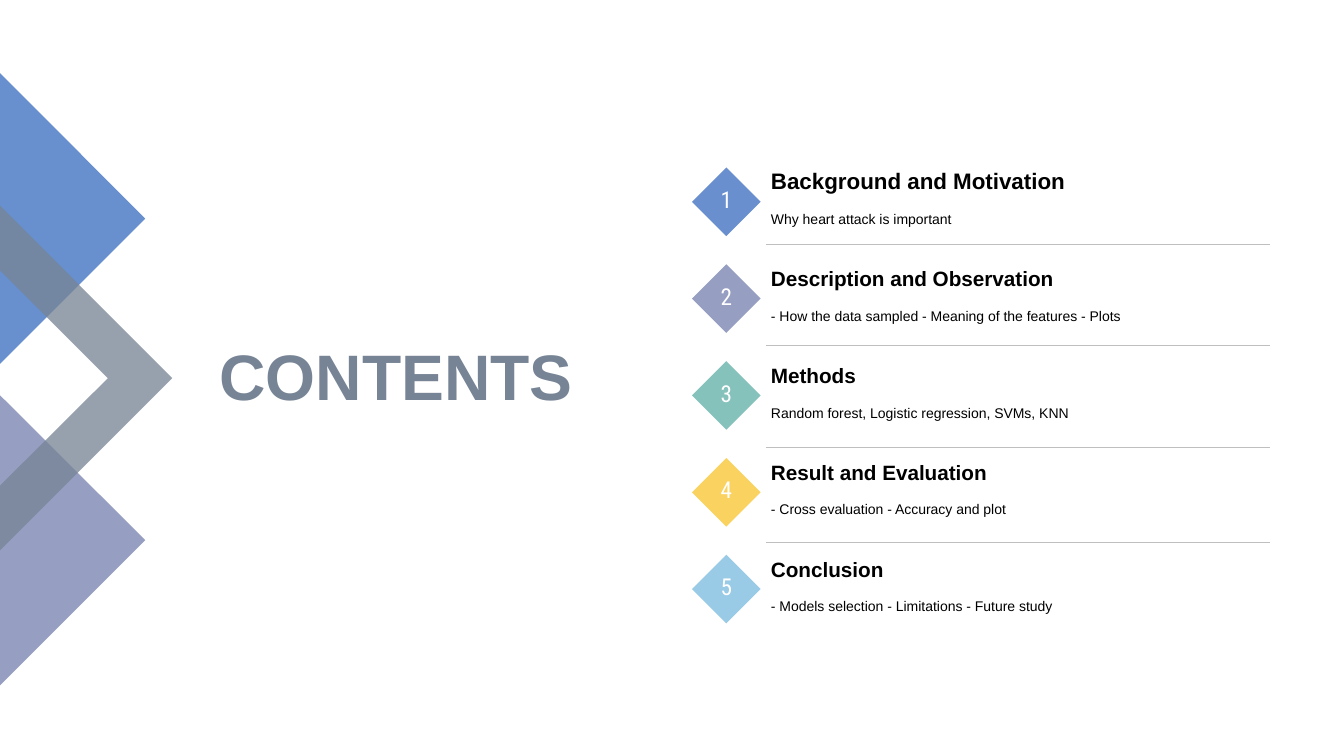
from lxml import etree
from pptx import Presentation
from pptx.dml.color import RGBColor
from pptx.enum.shapes import MSO_CONNECTOR, MSO_SHAPE
from pptx.enum.text import MSO_ANCHOR as ANCHOR, PP_ALIGN as ALIGN
from pptx.oxml.ns import qn
from pptx.util import Cm, Pt

HEADING = "CONTENTS"
ITEMS = [
    ("Background and Motivation", "Why heart attack is important", "698FCE"),
    ("Description and Observation",
     "- How the data sampled - Meaning of the features - Plots", "969EC2"),
    ("Methods", "Random forest, Logistic regression, SVMs, KNN", "85C2BC"),
    ("Result and Evaluation", "- Cross evaluation - Accuracy and plot", "FAD25F"),
    ("Conclusion", "- Models selection - Limitations - Future study", "99CAE6"),
]
DIVIDERS = [6.15, 8.71, 11.28, 13.67]
SLATE = "778495"
BANDS = [
    ("969EC2", 100, [(0, 9.96), (3.66, 13.61), (0, 17.27)]),
    ("688FCE", 100, [(0, 1.84), (3.66, 5.51), (0, 9.17)]),
    (SLATE, 76, [(4.34, 9.53), (0, 13.87), (0, 12.24),
                 (2.72, 9.53), (0, 6.81), (0, 5.18)]),
]
ROW_TOP, ROW_STEP = 4.22, 2.44
DIAMOND_X, DIAMOND_SIZE = 17.44, 1.73
TEXT_X, TEXT_W = 19.18, 12.7
LINE_X1, LINE_X2 = 19.3, 32


def rgb(color):
    return RGBColor.from_string(color)


def paint(sp, color, alpha=100):
    sp.shadow.inherit = False
    sp.fill.solid()
    sp.fill.fore_color.rgb = rgb(color)
    sp.line.fill.background()
    if alpha < 100:
        clr = sp.fill._xPr.find(".//" + qn("a:srgbClr"))
        etree.SubElement(clr, qn("a:alpha")).set("val", str(alpha * 1000))


def write(sp, text, size, color, font="Arial", bold=False,
          align=ALIGN.LEFT, anchor=ANCHOR.MIDDLE, spacing=1.0):
    tf = sp.text_frame
    tf.word_wrap = True
    tf.vertical_anchor = anchor
    tf.text = text
    p = tf.paragraphs[0]
    p.alignment = align
    p.line_spacing = spacing
    f = p.runs[0].font
    f.name, f.size, f.bold = font, Pt(size), bold
    f.color.rgb = rgb(color)


def add_text(x, y, w, h, *args, **style):
    sp = s.shapes.add_textbox(Cm(x), Cm(y), Cm(w), Cm(h))
    write(sp, *args, **style)


prs = Presentation()
prs.slide_width, prs.slide_height = Cm(33.87), Cm(19.05)
s = prs.slides.add_slide(prs.slide_layouts[6])

for color, alpha, points in BANDS:
    start, *rest = [(Cm(x), Cm(y)) for x, y in points]
    fb = s.shapes.build_freeform(*start)
    fb.add_line_segments(rest, close=True)
    paint(fb.convert_to_shape(), color, alpha)

add_text(4.29, 8.28, 10.39, 2.57, HEADING, 45.9, SLATE,
         bold=True, align=ALIGN.RIGHT, spacing=0.9)

for i, (title, detail, color) in enumerate(ITEMS):
    top = ROW_TOP + i * ROW_STEP
    diamond = s.shapes.add_shape(MSO_SHAPE.DIAMOND, Cm(DIAMOND_X), Cm(top),
                                 Cm(DIAMOND_SIZE), Cm(DIAMOND_SIZE))
    paint(diamond, color)
    write(diamond, str(i + 1), 16.6, "FFFFFF", "Roboto Condensed",
          align=ALIGN.CENTER, spacing=0.8)
    size, spacing = (16, 1.15) if i == 0 else (14.8, 1.0)
    add_text(TEXT_X, top - 0.05, TEXT_W, 0.84, title, size, "000000",
             bold=True, anchor=ANCHOR.BOTTOM, spacing=spacing)
    add_text(TEXT_X, top + 0.81, TEXT_W, 0.89, detail, 10, "000000", spacing=1.2)

for y in DIVIDERS:
    divider = s.shapes.add_connector(MSO_CONNECTOR.STRAIGHT, Cm(LINE_X1), Cm(y),
                                     Cm(LINE_X2), Cm(y))
    divider.line.color.rgb = rgb("BFBFBF")
    divider.line.width = Pt(0.75)
    etree.SubElement(divider._element.spPr, qn("a:effectLst"))

prs.save("out.pptx")
